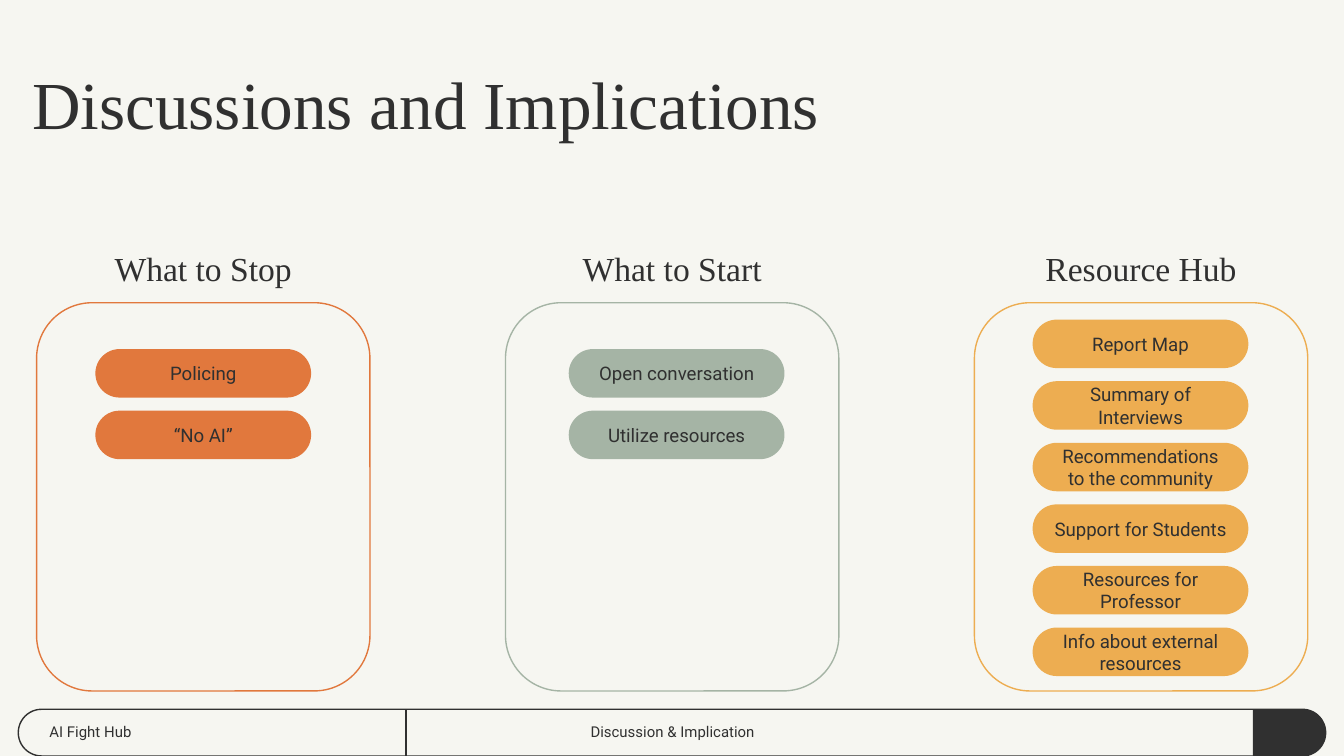
from lxml import etree
from pptx import Presentation
from pptx.dml.color import RGBColor
from pptx.enum.shapes import MSO_CONNECTOR, MSO_SHAPE
from pptx.enum.text import MSO_ANCHOR, MSO_AUTO_SIZE, PP_ALIGN
from pptx.oxml.ns import qn
from pptx.util import Pt

ROUNDED = MSO_SHAPE.ROUNDED_RECTANGLE
ROUND_TOP = MSO_SHAPE.ROUND_2_SAME_RECTANGLE
STRAIGHT = MSO_CONNECTOR.STRAIGHT
TOP, MIDDLE = MSO_ANCHOR.TOP, MSO_ANCHOR.MIDDLE
LEFT, CENTER = PP_ALIGN.LEFT, PP_ALIGN.CENTER
NO_FIT = MSO_AUTO_SIZE.NONE

INK, PAPER = "303030", "F6F6F1"
SERIF, SANS = "Times New Roman", "Roboto"

TITLE = "Discussions and Implications"
FOOTERS = [
    ("AI Fight Hub", 19.4, 173.5, LEFT),
    ("Discussion & Implication", 279.4, 162, CENTER),
]
COLUMNS = [
    {"heading": "What to Stop", "color": "E1783D", "pill_left": 51.1,
     "pill_top": 187, "pills": ["Policing", "“No AI”"]},
    {"heading": "What to Start", "color": "A5B4A5", "pill_left": 304.7,
     "pill_top": 187, "pills": ["Open conversation", "Utilize resources"]},
    {"heading": "Resource Hub", "color": "EDAD51", "pill_left": 553.2,
     "pill_top": 171.2,
     "pills": ["Report Map", "Summary of Interviews",
               "Recommendations to the community", "Support for Students",
               "Resources for Professor", "Info about external resources"]},
]

PANEL_LEFT, PANEL_STEP, PANEL_TOP = 19.6, 251.2, 162.2
PANEL_WIDTH, PANEL_HEIGHT = 178.6, 208
HEADING_TOP, HEADING_HEIGHT = 124.6, 37.5
PILL_WIDTH, PILL_HEIGHT, PILL_STEP = 115.6, 26, 33
FOOTER_TOP, FOOTER_HEIGHT = 380, 25
FOOTER_LEFT, FOOTER_RIGHT, FOOTER_CAP = 9.8, 710.2, 39
DIVIDER_X = 217.5


def rgb(value):
    return RGBColor.from_string(value)


def write(box, text, font, size, align=CENTER, anchor=MIDDLE, inset=7.2, inset_top=None):
    frame = box.text_frame
    frame.word_wrap = True
    frame.auto_size = NO_FIT
    frame.vertical_anchor = anchor
    frame.margin_left = frame.margin_right = frame.margin_bottom = Pt(inset)
    frame.margin_top = Pt(inset if inset_top is None else inset_top)
    paragraph = frame.paragraphs[0]
    paragraph.alignment = align
    run = paragraph.add_run()
    run.text = text
    run.font.name = font
    run.font.size = Pt(size)
    run.font.color.rgb = rgb(INK)


def add_panel(slide, kind, left, top, width, height, rounding, fill=None, line=None):
    panel = slide.shapes.add_shape(kind, Pt(left), Pt(top), Pt(width), Pt(height))
    panel.shadow.inherit = False
    for index, amount in enumerate(rounding):
        panel.adjustments[index] = amount
    if fill:
        panel.fill.solid()
        panel.fill.fore_color.rgb = rgb(fill)
    else:
        panel.fill.background()
    if line:
        panel.line.color.rgb = rgb(line)
        panel.line.width = Pt(0.75)
    else:
        panel.line.fill.background()
    return panel


def add_label(slide, left, top, width, height, *text, **style):
    label = slide.shapes.add_textbox(Pt(left), Pt(top), Pt(width), Pt(height))
    write(label, *text, **style)


def add_footer_end(slide, left, right, rounding, **style):
    length = right - left
    shift = (length - FOOTER_HEIGHT) / 2
    bar = add_panel(slide, ROUND_TOP, left + shift, FOOTER_TOP - shift,
                    FOOTER_HEIGHT, length, rounding, **style)
    bar.rotation = 90


def add_footer(slide):
    add_footer_end(slide, FOOTER_LEFT, FOOTER_RIGHT, (0.5, 0.5), line=INK)
    divider = slide.shapes.add_connector(
        STRAIGHT, Pt(DIVIDER_X), Pt(FOOTER_TOP), Pt(DIVIDER_X), Pt(FOOTER_TOP + FOOTER_HEIGHT))
    divider.line.color.rgb = rgb(INK)
    divider.line.width = Pt(0.75)
    etree.SubElement(divider._element.spPr, qn("a:effectLst"))
    add_footer_end(slide, FOOTER_RIGHT - FOOTER_CAP, FOOTER_RIGHT, (0.5, 0), fill=INK)
    for text, left, width, align in FOOTERS:
        add_label(slide, left, FOOTER_TOP, width, FOOTER_HEIGHT, text, SANS, 8,
                  align=align, anchor=TOP)


def add_column(slide, index, column):
    left = PANEL_LEFT + index * PANEL_STEP
    add_panel(slide, ROUNDED, left, PANEL_TOP, PANEL_WIDTH, PANEL_HEIGHT,
              (0.167,), line=column["color"])
    add_label(slide, left, HEADING_TOP, PANEL_WIDTH, HEADING_HEIGHT,
              column["heading"], SERIF, 18, inset=0)
    for row, text in enumerate(column["pills"]):
        pill = add_panel(slide, ROUNDED, column["pill_left"],
                         column["pill_top"] + row * PILL_STEP,
                         PILL_WIDTH, PILL_HEIGHT, (0.5,), fill=column["color"])
        write(pill, text, SANS, 10)


def main():
    deck = Presentation()
    deck.slide_width, deck.slide_height = Pt(720), Pt(405)
    slide = deck.slides.add_slide(deck.slide_layouts[5])
    slide.background.fill.solid()
    slide.background.fill.fore_color.rgb = rgb(PAPER)

    title = slide.shapes.title
    title.left, title.top, title.width, title.height = Pt(10), Pt(21.6), Pt(571), Pt(100)
    write(title, TITLE, SERIF, 36, align=LEFT, anchor=TOP, inset_top=11.7)

    add_footer(slide)
    for index, column in enumerate(COLUMNS):
        add_column(slide, index, column)
    deck.save("out.pptx")


if __name__ == "__main__":
    main()
